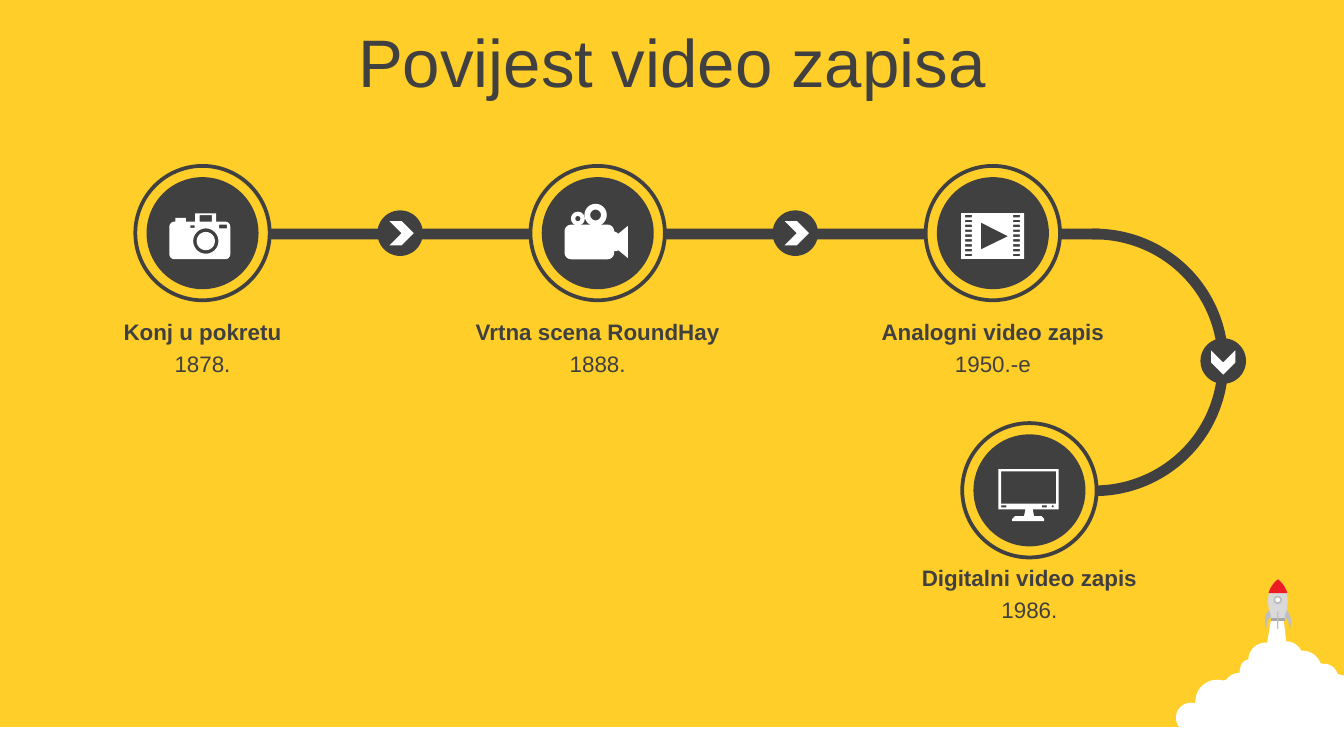
import math

import pptx
import pptx.dml.color
import pptx.enum.shapes
import pptx.enum.text
import pptx.util

Pt = pptx.util.Pt
SHAPE = pptx.enum.shapes.MSO_SHAPE
YELLOW, DARK, WHITE = "FFCE29", "404040", "FFFFFF"
SILVER, GREY, STEEL, RED = "D9D9D9", "BFBFBF", "A6A6A6", "ED1C24"


def rgb(value):
    return pptx.dml.color.RGBColor.from_string(value)


def arc(cx, cy, radius, start=0, end=360, steps=24):
    angles = [math.radians(start + (end - start) * i / steps) for i in range(steps + 1)]
    return [(cx + radius * math.cos(a), cy + radius * math.sin(a)) for a in angles]


def curve(*controls, steps=16):
    weights = (1, 3, 3, 1)
    points = []
    for step in range(steps + 1):
        t = step / steps
        blend = [w * t ** i * (1 - t) ** (3 - i) for i, w in enumerate(weights)]
        points.append(tuple(sum(b * c[axis] for b, c in zip(blend, controls)) for axis in (0, 1)))
    return points


def box(left, top, width, height):
    right, bottom = left + width, top + height
    return [(left, top), (right, top), (right, bottom), (left, bottom)]


class TimelineSlide:
    title_format = {"name": "Arial", "size": Pt(36), "bold": False}
    name_format = {"name": "Arial", "size": Pt(12), "bold": True}
    year_format = {"name": "Arial", "size": Pt(12), "bold": False}

    def __init__(self, slide):
        self.slide = slide
        slide.background.fill.solid()
        slide.background.fill.fore_color.rgb = rgb(YELLOW)

    def paint(self, shape, fill, line=None, weight=1):
        shape.shadow.inherit = False
        shape.fill.solid()
        shape.fill.fore_color.rgb = rgb(fill)
        if line:
            shape.line.color.rgb = rgb(line)
            shape.line.width = Pt(weight)
        else:
            shape.line.fill.background()
        return shape

    def preset(self, kind, left, top, width, height, fill, **line):
        shape = self.slide.shapes.add_shape(kind, Pt(left), Pt(top), Pt(width), Pt(height))
        return self.paint(shape, fill, **line)

    def disc(self, cx, cy, size, fill, **line):
        return self.preset(SHAPE.OVAL, cx - size / 2, cy - size / 2, size, size, fill, **line)

    def outline(self, fill, *contours):
        builder = None
        for contour in contours:
            start, *rest = [(Pt(x), Pt(y)) for x, y in contour]
            if builder is None:
                builder = self.slide.shapes.build_freeform(*start, scale=1.0)
            else:
                builder.move_to(*start)
            builder.add_line_segments(rest, close=True)
        self.paint(builder.convert_to_shape(), fill)

    def set_text(self, frame, text, font_format):
        frame.word_wrap = True
        paragraph = frame.paragraphs[0]
        paragraph.text = text
        paragraph.alignment = pptx.enum.text.PP_ALIGN.CENTER
        for attribute, value in font_format.items():
            setattr(paragraph.font, attribute, value)
        paragraph.font.color.rgb = rgb(DARK)

    def title(self, text, left, top, width, height):
        heading = self.slide.shapes.title
        place = {"left": left, "top": top, "width": width, "height": height}
        for attribute, value in place.items():
            setattr(heading, attribute, Pt(value))
        heading.text_frame.vertical_anchor = pptx.enum.text.MSO_ANCHOR.MIDDLE
        self.set_text(heading.text_frame, text, self.title_format)

    def label(self, text, cx, top, font_format):
        textbox = self.slide.shapes.add_textbox(Pt(cx - 79.5), Pt(top), Pt(159), Pt(21.6))
        self.set_text(textbox.text_frame, text, font_format)

    def milestone(self, cx, cy, name, year, gap):
        self.disc(cx, cy, 72, YELLOW, line=DARK, weight=2)
        self.disc(cx, cy, 60, DARK)
        self.label(name, cx, cy + gap, self.name_format)
        self.label(year, cx, cy + gap + 17, self.year_format)

    def arrow(self, cx, cy, rotation=0):
        self.disc(cx, cy, 24.4, DARK)
        angle = math.radians(rotation)
        left = cx + 0.8 * math.cos(angle) - 6.5
        top = cy + 0.8 * math.sin(angle) - 6.5
        self.preset(SHAPE.CHEVRON, left, top, 13, 13, WHITE).rotation = rotation


def draw_rocket(page):
    page.preset(SHAPE.RECTANGLE, 0, 389.5, 720, 15.5, WHITE)
    page.outline(WHITE, (
        arc(638, 384.5, 8, 90, 285) + arc(652, 375.8, 11.6, 180, 285)
        + arc(664, 369, 8.5, 215, 270) + arc(669.8, 358.6, 5.4, 180, 255)
        + arc(678, 353.5, 9.2, 180, 275) + [(681.2, 330.5), (687.6, 330.5)]
        + arc(689, 352.6, 9, 270, 335) + arc(697.7, 359, 10.4, 270, 340)
        + arc(709.5, 363, 7.3, 270, 345) + [(720, 362), (720, 392.5)]))
    tip = (684.6, 310.3)
    page.outline(SILVER, curve((681, 332.6), (679.7, 326), (676.8, 316.8), tip)
                 + curve(tip, (692.4, 316.8), (689.5, 326), (688.2, 332.6)))
    page.outline(STEEL, box(681, 331, 7.2, 1.6))
    page.outline(RED, curve((679.6, 317.7), (680.4, 315), (682, 312.4), tip)
                 + curve(tip, (687.2, 312.4), (688.8, 315), (689.6, 317.7)))
    page.disc(684.5, 321.4, 3.6, WHITE, line=GREY)
    page.preset(SHAPE.RECTANGLE, 684.2, 327.6, 0.7, 9.4, GREY)
    fin = (curve((681, 330.5), (678.2, 332), (679, 335.5), (678.2, 337))
           + curve((678.2, 337), (677.5, 334.8), (676.8, 329), (680, 327)))
    page.outline(GREY, fin)
    page.outline(GREY, [(2 * tip[0] - x, y) for x, y in fin])


def draw_photo_camera(page):
    body = (arc(93.5, 121.5, 2.7, 180, 270)
            + [(94, 118.8), (94, 116.8), (99.6, 116.8), (99.6, 118.8),
               (104.6, 118.8), (104.6, 114.3), (115.8, 114.3), (115.8, 118.8)]
            + arc(120.7, 121.5, 2.7, 270, 360) + arc(120.7, 136.2, 2.7, 0, 90)
            + arc(93.5, 136.2, 2.7, 90, 180))
    page.outline(WHITE, body, arc(110.3, 129.2, 6.8), arc(110.3, 129.2, 4.9),
                 box(102.1, 120.8, 2.2, 1.3), box(117.4, 120.4, 4.2, 2),
                 box(107, 115.3, 6.6, 3.5))


def draw_film_camera(page):
    page.outline(WHITE, (
        arc(306, 123.9, 3.5, 180, 270) + arc(325.5, 123.9, 3.5, 270, 360)
        + [(330.5, 124.6), (331.2, 125.3), (336.4, 121), (336.4, 138.3),
           (331.2, 134), (330.5, 134.6), (329, 134.6)]
        + arc(325.5, 135.4, 3.5, 0, 90) + arc(306, 135.4, 3.5, 90, 180)))
    for cx, cy, rim, hub in ((309.6, 117.1, 3.7, 1.4), (319.1, 115.2, 6, 2.9)):
        page.outline(WHITE, arc(cx, cy, rim), arc(cx, cy, hub))


def draw_film_strip(page):
    perforations = [box(left, 115.2 + 2.6 * row, 3.6, 1.3)
                    for left in (517, 542.8) for row in range(9)]
    play = [(525.4, 119.2), (525.4, 133.7), (540, 126.6)]
    page.outline(WHITE, box(514.9, 114.2, 33.7, 24.5), play, *perforations)


def draw_monitor(page):
    case = [(534.9, 251.3), (567.1, 251.3), (567.1, 273), (553.3, 273), (554, 276.6),
            (558, 276.6), (559.4, 278), (559.4, 279.2), (542.3, 279.2), (542.3, 278),
            (543.7, 276.6), (548.6, 276.6), (549.4, 273), (534.9, 273)]
    page.outline(WHITE, case, box(536.3, 252.6, 29.5, 17.3), box(536.4, 270.8, 2.7, 1),
                 box(558.2, 270.8, 2.7, 1), arc(564, 271.3, 0.6))


def main():
    deck = pptx.Presentation()
    deck.slide_width, deck.slide_height = Pt(720), Pt(405)
    page = TimelineSlide(deck.slides.add_slide(deck.slide_layouts[5]))
    page.title("Povijest video zapisa", 0, 10, 720, 45.4)
    draw_rocket(page)

    bend = page.preset(SHAPE.BLOCK_ARC, 514.8, 122.5, 143.3, 143.3, DARK)
    for index, value in enumerate((161.27, 54.9, 0.04)):
        bend.adjustments[index] = value
    page.preset(SHAPE.RECTANGLE, 104.4, 122.5, 484.6, 5.75, DARK)

    first, step, row = 108.5, 211.7, 124.9
    events = (("Konj u pokretu", "1878."), ("Vrtna scena RoundHay", "1888."),
              ("Analogni video zapis", "1950.-e"))
    for index, (name, year) in enumerate(events):
        page.milestone(first + index * step, row, name, year, 42.2)
    page.milestone(551.5, 262.7, "Digitalni video zapis", "1986.", 36.2)

    for index in range(len(events) - 1):
        page.arrow(first + (index + 0.5) * step, row)
    page.arrow(655.3, 193.4, 90)

    for draw_icon in (draw_photo_camera, draw_film_camera, draw_film_strip, draw_monitor):
        draw_icon(page)
    deck.save("out.pptx")


if __name__ == "__main__":
    main()
